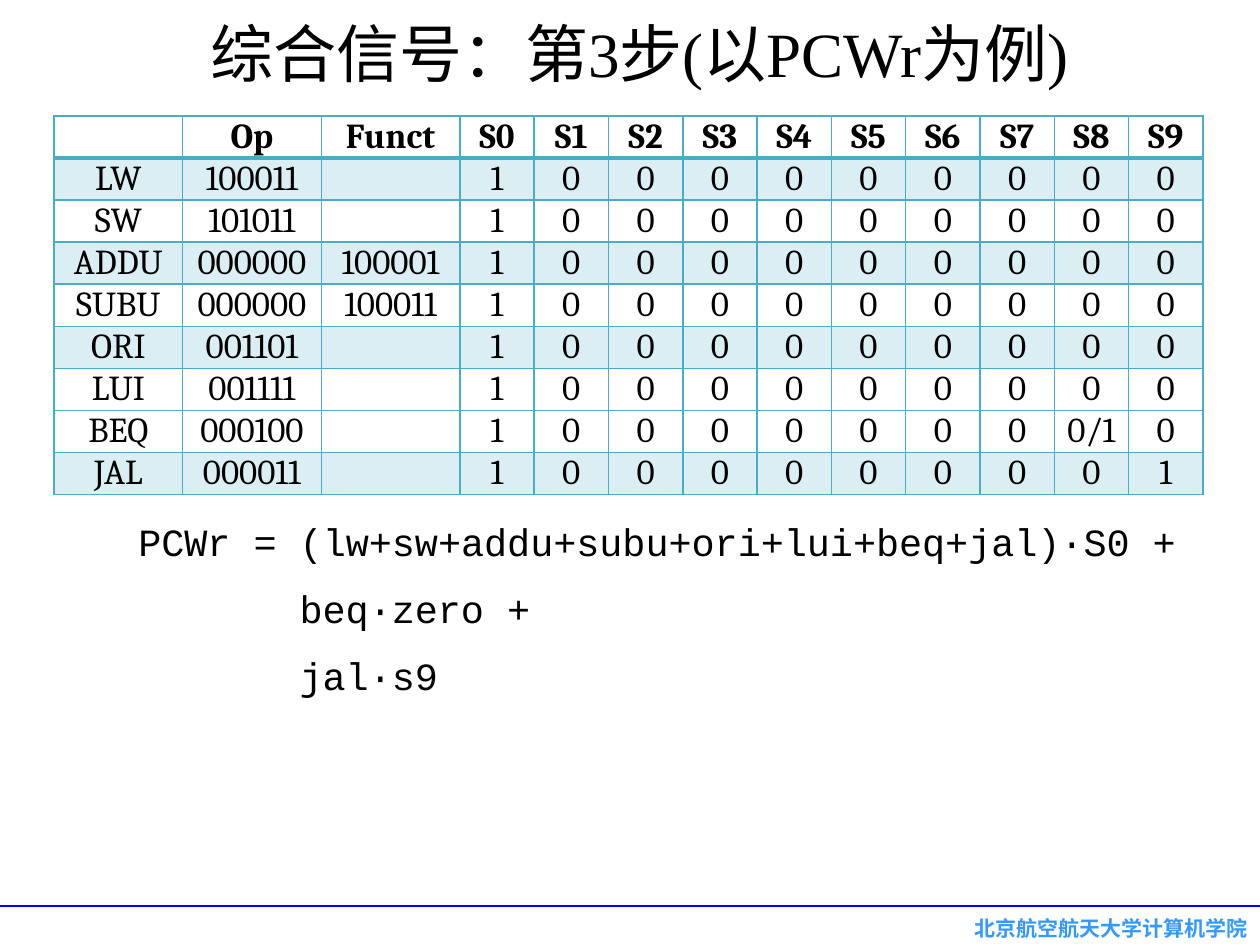
from pptx import Presentation
from pptx.dml.color import RGBColor
from pptx.enum.text import MSO_ANCHOR, PP_ALIGN
from pptx.oxml.ns import qn
from pptx.util import Inches, Pt
from lxml.etree import SubElement

BLACK = RGBColor(0, 0, 0)
TEAL = RGBColor(0x4B, 0xAC, 0xC6)
BLUE = RGBColor(0, 0, 0xFF)
SKY = RGBColor(0x33, 0x99, 0xFF)

STATES = 10
INSTRUCTIONS = [
    ("LW", "100011", "", {}),
    ("SW", "101011", "", {}),
    ("ADDU", "000000", "100001", {}),
    ("SUBU", "000000", "100011", {}),
    ("ORI", "001101", "", {}),
    ("LUI", "001111", "", {}),
    ("BEQ", "000100", "", {8: "0/1"}),
    ("JAL", "000011", "", {9: "1"}),
]
BANDED = {"LW", "ADDU", "ORI", "JAL"}
EQUATION = [
    ("PCWr = (lw+sw+addu+subu+ori+lui+beq+jal)∙S0 +", 0.5),
    ("beq∙zero +", 1.78),
    ("jal∙s9", 1.78),
]


class SlideBuilder:
    """Holds the text, table and line style and the slide being filled."""

    def __init__(self, prs):
        self.slide = prs.slides.add_slide(prs.slide_layouts[5])

    def style(self, p, font, size, color=BLACK, bold=False, align=PP_ALIGN.LEFT):
        p.alignment = align
        p.font.name, p.font.size, p.font.bold = font, Pt(size), bold
        p.font.color.rgb = color

    def title(self, text, left, top, width, height):
        sp = self.slide.shapes.title
        sp.left, sp.top, sp.width, sp.height = map(Inches, (left, top, width, height))
        tf = sp.text_frame
        tf.text = text
        tf.vertical_anchor = MSO_ANCHOR.MIDDLE
        self.style(tf.paragraphs[0], "Times New Roman", 36, align=PP_ALIGN.CENTER)

    def text_box(self, left, top, width, height):
        tf = self.slide.shapes.add_textbox(*map(Inches, (left, top, width, height))).text_frame
        tf.word_wrap = True
        return tf

    def equation(self, lines, *box):
        tf = self.text_box(*box)
        for i, (text, indent) in enumerate(lines):
            p = tf.add_paragraph() if i else tf.paragraphs[0]
            p.text = text
            p.space_before = Pt(12)
            self.style(p, "Courier New", 22)
            p._p.get_or_add_pPr().set("marL", str(Inches(indent)))

    def footer(self, text, *box):
        tf = self.text_box(*box)
        tf.margin_top = tf.margin_bottom = 0
        p = tf.paragraphs[0]
        p.text = text
        self.style(p, "Noto Sans CJK SC", 12, SKY, True, PP_ALIGN.RIGHT)
        r = p.runs[0]
        SubElement(r._r.get_or_add_rPr(), qn("a:ea"), typeface="Noto Sans CJK SC")

    def line(self, x1, y1, x2, y2):
        c = self.slide.shapes.add_connector(1, *map(Inches, (x1, y1, x2, y2)))
        c.line.color.rgb, c.line.width = BLUE, Pt(1.5)
        SubElement(c._element.spPr, qn("a:effectLst"))

    def borders(self, cell, top, bottom):
        tcPr = cell._tc.get_or_add_tcPr()
        for i, (side, width) in enumerate((("L", 1), ("R", 1), ("T", top), ("B", bottom))):
            ln = tcPr.makeelement(qn(f"a:ln{side}"), {"w": str(Pt(width))})
            fill = SubElement(ln, qn("a:solidFill"))
            SubElement(fill, qn("a:srgbClr"), val=str(TEAL))
            tcPr.insert(i, ln)

    def cell(self, cell, text, header, first, banded):
        cell.text = text
        cell.vertical_anchor = MSO_ANCHOR.MIDDLE
        cell.margin_left = cell.margin_right = Inches(0.04)
        cell.margin_top = cell.margin_bottom = 0
        self.style(cell.text_frame.paragraphs[0], "Cambria", 20, bold=header,
                   align=PP_ALIGN.CENTER)
        if banded:
            cell.fill.solid()
            cell.fill.fore_color.rgb = TEAL
            color = cell._tc.tcPr.find(".//" + qn("a:srgbClr"))
            SubElement(color, qn("a:alpha"), val="20000")
        else:
            cell.fill.background()
        self.borders(cell, 2 if first else 1, 2 if header else 1)

    def table(self, rows, widths, left, top, row_height):
        frame = self.slide.shapes.add_table(
            len(rows), len(widths), Inches(left), Inches(top),
            Inches(sum(widths)), Inches(row_height * len(rows)))
        table = frame.table
        for column, width in zip(table.columns, widths):
            column.width = Inches(width)
        for i, row in enumerate(rows):
            for j, text in enumerate(row):
                self.cell(table.cell(i, j), text, i == 0, i == 1, row[0] in BANDED)


def signal_rows():
    rows = [["", "Op", "Funct"] + [f"S{n}" for n in range(STATES)]]
    for name, op, funct, active in INSTRUCTIONS:
        values = {0: "1", **active}
        rows.append([name, op, funct] + [values.get(n, "0") for n in range(STATES)])
    return rows


def main():
    prs = Presentation()
    prs.slide_width, prs.slide_height = Inches(10), Inches(7.5)
    s = SlideBuilder(prs)
    s.footer("北京航空航天大学计算机学院", 4.53, 7.27, 5.47, 0.2)
    s.line(10, 7.19, 0, 7.19)
    s.title("综合信号：第3步(以PCWr为例)", 0.23, 0.05, 9.69, 0.73)
    s.table(signal_rows(), [1.02, 1.1, 1.1] + [0.59] * STATES, 0.43, 0.92, 0.32)
    s.equation(EQUATION, 0.5, 4.06, 9, 3.09)
    prs.save("out.pptx")


if __name__ == "__main__":
    main()
